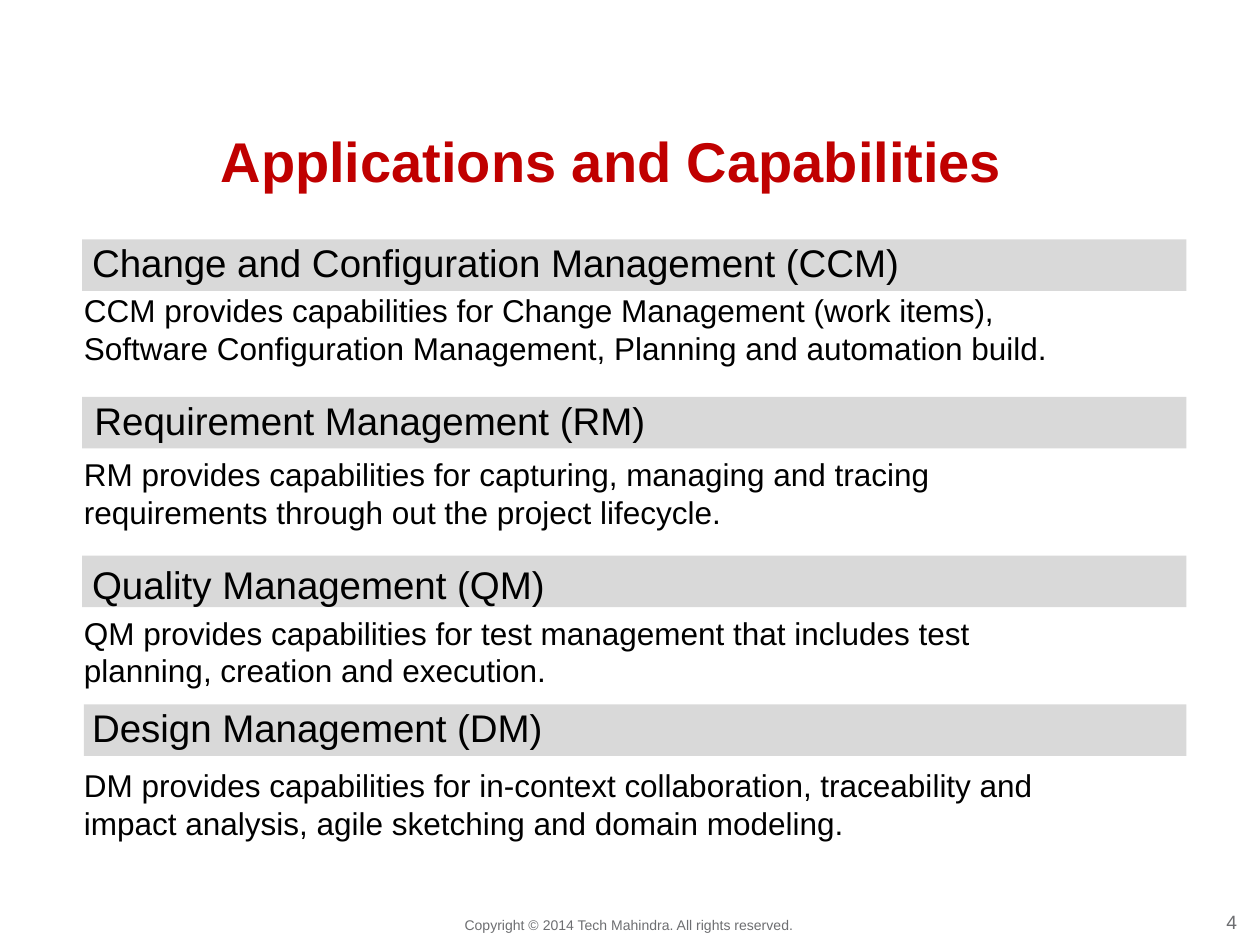
from pptx import Presentation
from pptx.dml.color import RGBColor
from pptx.enum import shapes, text
from pptx.util import Pt

COLORS = {"title": "C00000", "bar": "D9D9D9", "ink": "000000", "footer": "6D6E71"}
FONT = "Arial"

TITLE = "Applications and Capabilities"
COPYRIGHT = "Copyright © 2014 Tech Mahindra. All rights reserved."
PAGE_NUMBER = "4"

# Heading, description, then in points: bar left, bar top,
# heading (left, top, width), description (top, height)
SECTIONS = [
    ("Change and Configuration Management (CCM)",
     "CCM provides capabilities for Change Management (work items), Software "
     "Configuration Management, Planning and automation build.",
     47, 136.8, (52.6, 136.8, 528), (166.3, 87)),
    ("Requirement Management (RM)",
     "RM provides capabilities for capturing, managing and tracing requirements "
     "through out the project lifecycle.",
     47, 226.8, (54, 226.8, 618), (260, 87)),
    ("Quality Management (QM)",
     "QM provides capabilities for test management that includes test planning, "
     "creation and execution.",
     47, 317.5, (52.6, 320.4, 618), (350.6, 65.5)),
    ("Design Management (DM)",
     "DM provides capabilities for in-context collaboration, traceability and "
     "impact analysis, agile sketching and domain modeling.",
     48, 402.5, (52.6, 402.5, 553), (437.8, 44)),
]
BAR_RIGHT, BAR_HEIGHT, HEADING_HEIGHT = 678, 29.5, 26.6
BODY_LEFT, BODY_WIDTH = 48, 576


def write(box, words, size, color, bold=False, align=text.PP_ALIGN.LEFT,
          anchor=text.MSO_ANCHOR.TOP, wrap=True):
    frame = box.text_frame
    frame.text = words
    frame_format = {
        "margin_left": 0, "margin_top": 0, "margin_right": 0, "margin_bottom": 0,
        "word_wrap": wrap, "vertical_anchor": anchor,
        "auto_size": text.MSO_AUTO_SIZE.NONE,
    }
    for name, value in frame_format.items():
        setattr(frame, name, value)
    para = frame.paragraphs[0]
    para.alignment = align
    span = para.runs[0]
    for name, value in {"name": FONT, "size": Pt(size), "bold": bold}.items():
        setattr(span.font, name, value)
    span.font.color.rgb = RGBColor.from_string(COLORS[color])


def add_text(page, place, words, size, color, **options):
    box = page.shapes.add_textbox(*map(Pt, place))
    write(box, words, size, color, **options)


def add_bar(page, left, top):
    bar = page.shapes.add_shape(
        shapes.MSO_SHAPE.RECTANGLE,
        *map(Pt, (left, top, BAR_RIGHT - left, BAR_HEIGHT)))
    bar.shadow.inherit = False
    bar.fill.solid()
    bar.fill.fore_color.rgb = RGBColor.from_string(COLORS["bar"])
    bar.line.fill.background()


def main():
    deck = Presentation()
    deck.slide_width, deck.slide_height = Pt(720), Pt(540)
    page = deck.slides.add_slide(deck.slide_layouts[5])

    title = page.shapes.title
    title_place = {"left": 48, "top": 72, "width": 612, "height": 38.9}
    for name, value in title_place.items():
        setattr(title, name, Pt(value))
    # The centred line sits slightly left of the middle of its box.
    write(title, TITLE, 32, "title", bold=True, align=text.PP_ALIGN.CENTER)
    title.text_frame.margin_right = Pt(9)

    for heading, body, bar_left, bar_top, (left, top, width), (body_top, height) in SECTIONS:
        add_bar(page, bar_left, bar_top)
        add_text(page, (left, top, width, HEADING_HEIGHT), heading, 22, "ink")
        add_text(page, (BODY_LEFT, body_top, BODY_WIDTH, height), body, 18, "ink")

    add_text(page, (265.5, 523.5, 191.5, 10), COPYRIGHT, 8, "footer", wrap=False)
    add_text(page, (693.4, 520, 13.6, 13.6), PAGE_NUMBER, 11, "footer", wrap=False,
             align=text.PP_ALIGN.RIGHT, anchor=text.MSO_ANCHOR.MIDDLE)
    deck.save("out.pptx")


if __name__ == "__main__":
    main()
